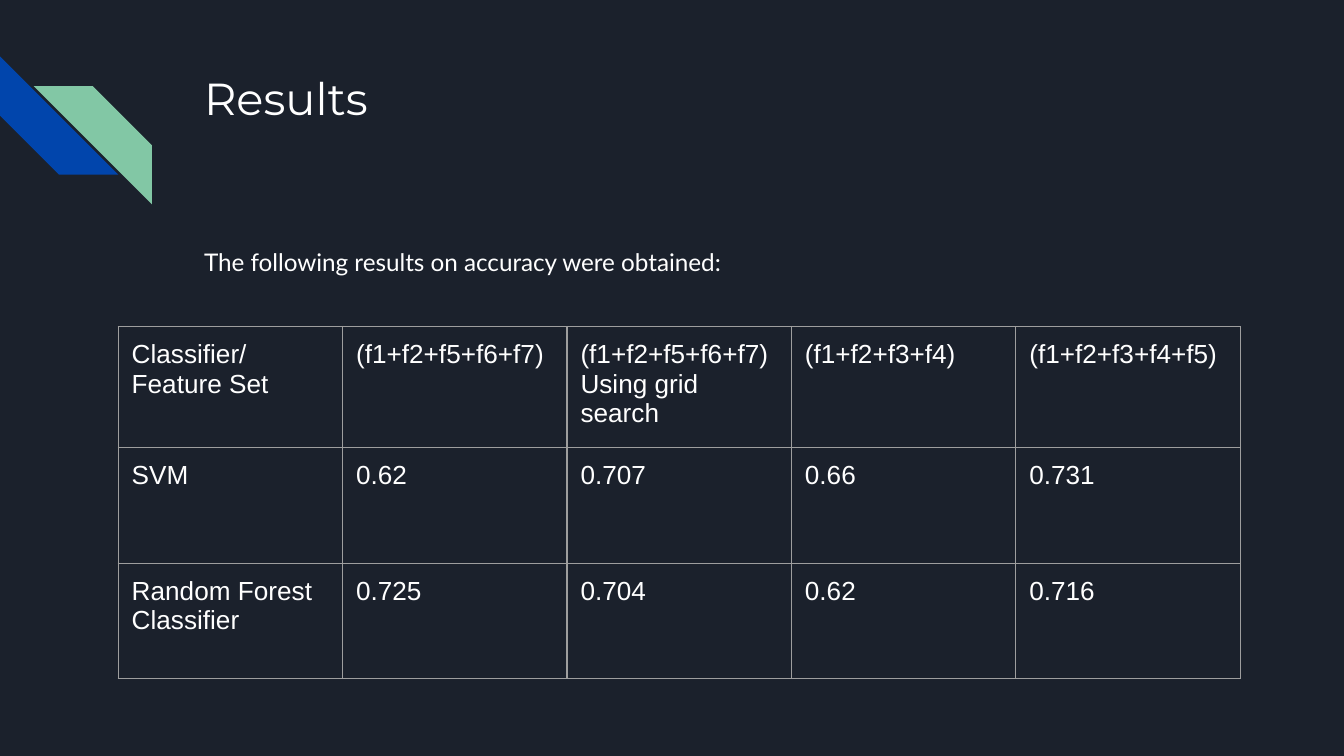
from dataclasses import dataclass
from lxml import etree
from pptx import Presentation
from pptx.dml.color import RGBColor
from pptx.enum.shapes import MSO_SHAPE
from pptx.oxml.ns import qn
from pptx.slide import Slide
from pptx.table import _Cell
from pptx.text.text import TextFrame
from pptx.util import Inches, Pt

STRIPE = MSO_SHAPE.DIAGONAL_STRIPE
DARK, WHITE, GREY = "1B212C", "FFFFFF", "9E9E9E"
BLUE, GREEN = "0145AC", "82C7A5"
PAD = Inches(0.1)
WIDE = 10


@dataclass
class Stripe:
    left: float
    top: float
    turn: int
    color: str


@dataclass
class Label:
    text: str
    top: float
    height: float
    size: int
    font: str
    space: float


STRIPES = [Stripe(0, 0.42, 270, BLUE), Stripe(0.25, 0.64, 90, GREEN)]
LABELS = [
    Label("Results", 0.43, 1, 24, "Montserrat", 1),
    Label("The following results on accuracy were obtained:", 1.71, 3.18, 13, "Lato", 1.15),
]
ROWS = [
    ["Classifier/\nFeature Set", "(f1+f2+f5+f6+f7)", "(f1+f2+f5+f6+f7)\nUsing grid search",
     "(f1+f2+f3+f4)", "(f1+f2+f3+f4+f5)"],
    ["SVM", "0.62", "0.707", "0.66", "0.731"],
    ["Random Forest Classifier", "0.725", "0.704", "0.62", "0.716"],
]
WIDTH = 1.67
HEIGHTS = [0.89, 0.86, 0.86]


def rgb(color: str) -> RGBColor:
    return RGBColor.from_string(color)


def write(frame: TextFrame, text: str, size: int, font: str, space: float = 1) -> None:
    frame.text = text
    for para in frame.paragraphs:
        para.line_spacing = space
        para.font.size = Pt(size)
        para.font.name = font
        para.font.color.rgb = rgb(WHITE)


def draw_stripe(slide: Slide, item: Stripe) -> None:
    side = Inches(0.88)
    shape = slide.shapes.add_shape(STRIPE, Inches(item.left), Inches(item.top), side, side)
    shape.rotation = item.turn
    shape.shadow.inherit = False
    shape.fill.solid()
    shape.fill.fore_color.rgb = rgb(item.color)
    shape.line.fill.background()


def draw_label(slide: Slide, item: Label) -> None:
    box = slide.shapes.add_textbox(Inches(1.42), Inches(item.top), Inches(7.7), Inches(item.height))
    frame = box.text_frame
    frame.word_wrap = True
    frame.margin_left = frame.margin_right = frame.margin_top = frame.margin_bottom = PAD
    write(frame, item.text, item.size, item.font, item.space)


def add_edges(cell: _Cell) -> None:
    props = cell._tc.get_or_add_tcPr()
    for spot, side in enumerate(("lnL", "lnR", "lnT", "lnB")):
        line = etree.Element(qn(f"a:{side}"), w=str(Pt(0.75)))
        fill = etree.SubElement(line, qn("a:solidFill"))
        etree.SubElement(fill, qn("a:srgbClr"), val=GREY)
        props.insert(spot, line)


def draw_table(slide: Slide) -> None:
    count = len(ROWS[0])
    frame = slide.shapes.add_table(len(ROWS), count, Inches(0.88), Inches(2.43),
                                   Inches(WIDTH * count), Inches(sum(HEIGHTS)))
    table = frame.table
    table.first_row = table.horz_banding = False
    for col in table.columns:
        col.width = Inches(WIDTH)
    for row, height, texts in zip(table.rows, HEIGHTS, ROWS):
        row.height = Inches(height)
        for cell, text in zip(row.cells, texts):
            cell.margin_left = cell.margin_right = cell.margin_top = cell.margin_bottom = PAD
            cell.fill.background()
            add_edges(cell)
            write(cell.text_frame, text, 14, "Arial")


def main() -> None:
    deck = Presentation()
    deck.slide_width, deck.slide_height = Inches(WIDE), Inches(WIDE * 9 / 16)
    slide = deck.slides.add_slide(deck.slide_layouts[6])
    back = slide.background.fill
    back.solid()
    back.fore_color.rgb = rgb(DARK)
    for item in STRIPES:
        draw_stripe(slide, item)
    for item in LABELS:
        draw_label(slide, item)
    draw_table(slide)
    deck.save("out.pptx")


if __name__ == "__main__":
    main()
